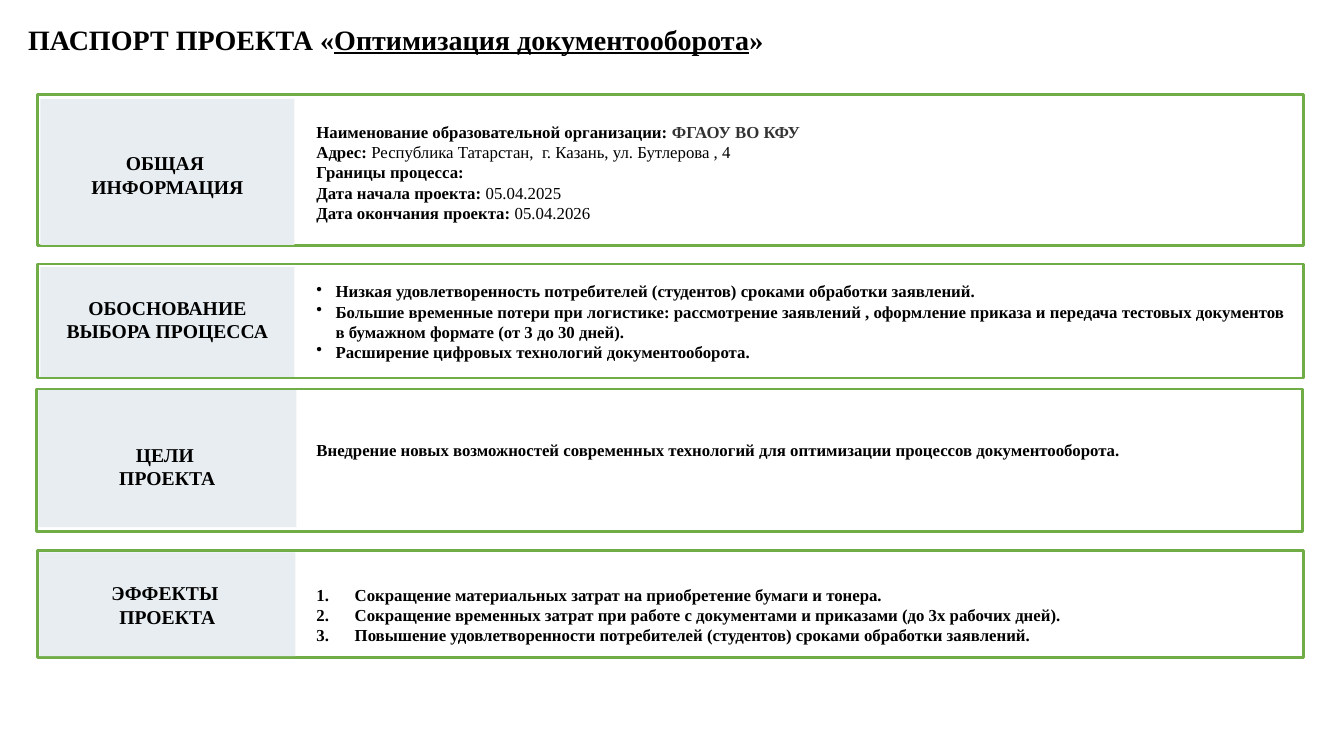
from lxml import etree
from pptx import Presentation
from pptx.dml.color import RGBColor
from pptx.enum.shapes import MSO_SHAPE
from pptx.enum.text import MSO_ANCHOR, PP_ALIGN
from pptx.oxml.ns import qn
from pptx.util import Inches, Pt

GREEN = RGBColor(0x70, 0xAD, 0x47)
PALE = RGBColor(0xE8, 0xED, 0xF1)
BLACK = RGBColor(0x00, 0x00, 0x00)
GRAY = RGBColor(0x33, 0x33, 0x33)
FONT = "Times New Roman"
RECTANGLE = MSO_SHAPE.RECTANGLE
TOP = MSO_ANCHOR.TOP
LEFT, CENTER, JUSTIFY = PP_ALIGN.LEFT, PP_ALIGN.CENTER, PP_ALIGN.JUSTIFY
TEXT_LEFT = 3.04
LABEL_INSET = 0.05
LABEL_LINE = 0.235

PLAIN = {"bold": False}
BULLET = ("a:buChar", {"char": "•"})
NUMBER = ("a:buAutoNum", {"type": "arabicPeriod"})

SECTIONS = [
    ((0.37, 0.94, 12.56, 1.5), (0.4, 0.98, 2.52, 1.45), ["ОБЩАЯ ", "ИНФОРМАЦИЯ"], 2),
    ((0.37, 2.62, 12.56, 1.13), (0.4, 2.65, 2.52, 1.09), ["ОБОСНОВАНИЕ ВЫБОРА ПРОЦЕССА"], 1),
    ((0.36, 3.86, 12.56, 1.41), (0.38, 3.87, 2.56, 1.36), ["ЦЕЛИ ", "ПРОЕКТА"], 2),
    ((0.37, 5.46, 12.56, 1.06), (0.39, 5.48, 2.54, 1.03), ["ЭФФЕКТЫ ", "ПРОЕКТА"], 1),
]
TITLE = [[("ПАСПОРТ ПРОЕКТА «", {}), ("Оптимизация документооборота", {"underline": True}), ("»", {})]]
GENERAL = [
    [("Наименование образовательной организации: ", {}), ("ФГАОУ ВО КФУ", {"color": GRAY})],
    [("Адрес:", {}), (" Республика Татарстан,  г. Казань, ул. Бутлерова , 4", PLAIN)],
    "Границы процесса:",
    [("Дата начала проекта: ", {}), ("05.04.2025", PLAIN)],
    [("Дата окончания проекта: ", {}), ("05.04.2026", PLAIN)],
]
REASONS = [
    "Низкая удовлетворенность потребителей (студентов) сроками обработки заявлений.",
    "Большие временные потери при логистике: рассмотрение заявлений , оформление приказа "
    "и передача тестовых документов в бумажном формате (от 3 до 30 дней).",
    "Расширение цифровых технологий документооборота.",
]
GOALS = ["Внедрение новых возможностей современных технологий для оптимизации процессов документооборота."]
EFFECTS = [
    "Сокращение материальных затрат на приобретение бумаги и тонера.",
    "Сокращение временных затрат при работе с документами и приказами (до 3х рабочих дней).",
    "Повышение удовлетворенности потребителей (студентов) сроками обработки заявлений.",
]


def add_marker(paragraph, marker, indent):
    """Give a paragraph a hanging bullet or number."""
    properties = paragraph._p.get_or_add_pPr()
    properties.set("marL", str(Inches(indent)))
    properties.set("indent", str(-Inches(indent)))
    tag, attributes = marker
    etree.SubElement(properties, qn(tag), attributes)


def write_text(shape, paragraphs, size=12, align=LEFT, marker=None, indent=0):
    """Fill a shape with paragraphs, each a string or a list of formatted runs."""
    frame = shape.text_frame
    frame.word_wrap = True
    frame.vertical_anchor = TOP
    for index, content in enumerate(paragraphs):
        paragraph = frame.add_paragraph() if index else frame.paragraphs[0]
        paragraph.alignment = align
        if marker:
            add_marker(paragraph, marker, indent)
        runs = [(content, {})] if isinstance(content, str) else content
        for text, style in runs:
            run = paragraph.add_run()
            run.text = text
            run.font.name = FONT
            run.font.size = Pt(size)
            run.font.bold = style.get("bold", True)
            run.font.underline = style.get("underline", False)
            run.font.color.rgb = style.get("color", BLACK)


def add_text(slide, box, paragraphs, **style):
    """Add a wrapped text box."""
    shape = slide.shapes.add_textbox(*map(Inches, box))
    write_text(shape, paragraphs, **style)


def add_rectangle(slide, box, fill=None, line=None):
    """Add a flat rectangle with an optional fill and outline."""
    shape = slide.shapes.add_shape(RECTANGLE, *map(Inches, box))
    shape.shadow.inherit = False
    if fill is None:
        shape.fill.background()
    else:
        shape.fill.solid()
        shape.fill.fore_color.rgb = fill
    if line is None:
        shape.line.fill.background()
    else:
        shape.line.color.rgb = line
        shape.line.width = Pt(2)
    return shape


def add_section(slide, frame_box, label_box, label, lines_above):
    """Add a green frame with a heading panel on its left."""
    add_rectangle(slide, frame_box, line=GREEN)
    panel = add_rectangle(slide, label_box, fill=PALE)
    panel.text_frame.margin_top = Inches(LABEL_INSET + LABEL_LINE * lines_above)
    write_text(panel, label, size=14, align=CENTER)


def main():
    """Build the project passport slide."""
    presentation = Presentation()
    presentation.slide_width = Inches(13.33)
    presentation.slide_height = Inches(7.5)
    slide = presentation.slides.add_slide(presentation.slide_layouts[6])
    for section in SECTIONS:
        add_section(slide, *section)
    add_text(slide, (0.18, 0.17, 12.98, 0.44), TITLE, size=20)
    add_text(slide, (TEXT_LEFT, 1.16, 6.67, 1.31), GENERAL)
    add_text(slide, (TEXT_LEFT, 2.74, 9.85, 1.11), REASONS, marker=BULLET, indent=0.19)
    add_text(slide, (TEXT_LEFT, 4.31, 9.64, 0.3), GOALS, align=JUSTIFY)
    add_text(slide, (TEXT_LEFT, 5.75, 9.77, 0.71), EFFECTS, marker=NUMBER, indent=0.38)
    presentation.save("out.pptx")


if __name__ == "__main__":
    main()
